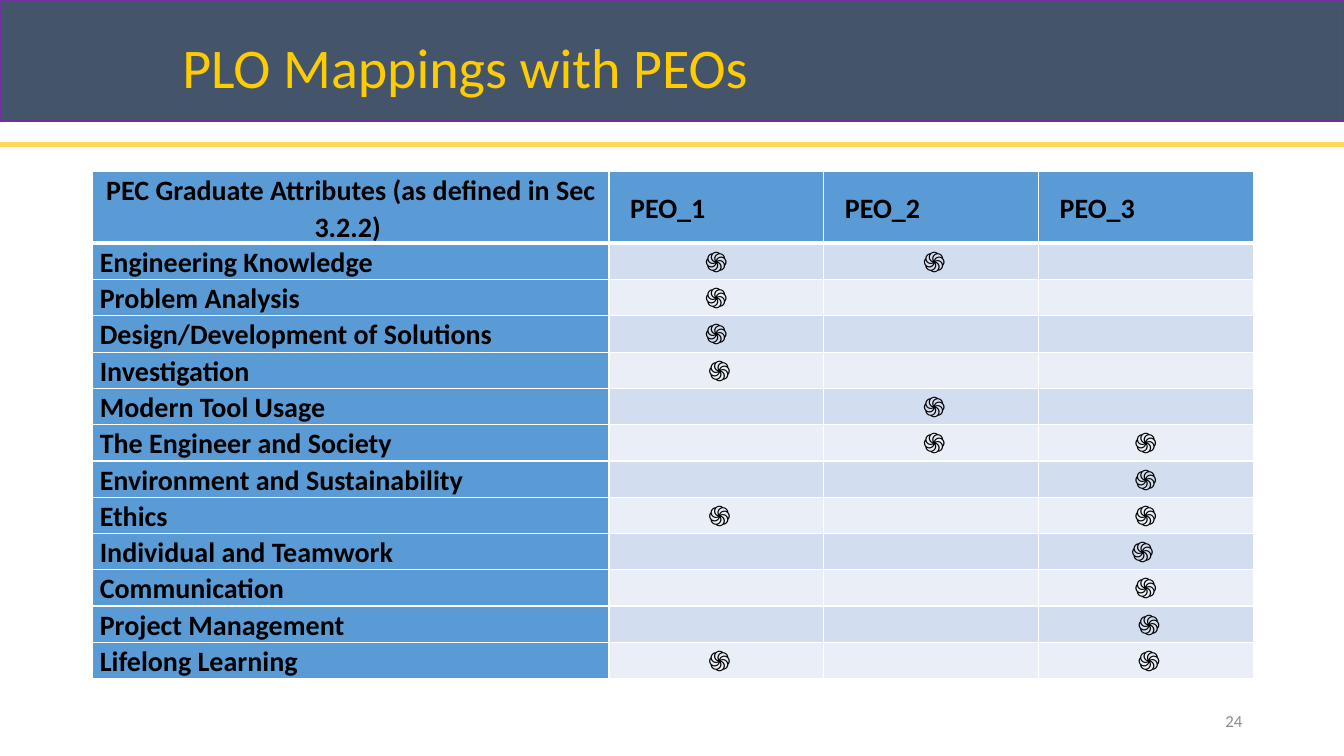
from lxml import etree
from pptx import Presentation
from pptx.dml.color import RGBColor
from pptx.enum.shapes import MSO_CONNECTOR, MSO_SHAPE
from pptx.enum.text import MSO_ANCHOR, PP_ALIGN
from pptx.oxml import parse_xml
from pptx.oxml.ns import nsdecls, qn
from pptx.util import Inches, Pt

MIDDLE = MSO_ANCHOR.MIDDLE
LEFT, CENTER, RIGHT = PP_ALIGN.LEFT, PP_ALIGN.CENTER, PP_ALIGN.RIGHT
COLORS = {"band": "44546A", "edge": "7030A0", "rule": "FFD85B", "title": "FFCC00",
          "number": "8C8C8C", "head": "5B9BD5", "odd": "D2DEEF", "even": "EAEFF7",
          "text": "000000", "grid": "FFFFFF"}
HEADERS = ["PEC Graduate Attributes (as defined in Sec 3.2.2) ", "PEO_1", "PEO_2", "PEO_3"]
ROWS = [
    ("Engineering Knowledge ", "֍", " ֍", ""),
    ("Problem Analysis", "֍", "", ""),
    ("Design/Development of Solutions", "֍", "", ""),
    ("Investigation", " ֍", "", ""),
    ("Modern Tool Usage", "", " ֍", ""),
    ("The Engineer and Society", "", " ֍", "֍"),
    ("Environment and Sustainability", "", "", "֍"),
    ("Ethics", " ֍", "", "֍"),
    ("Individual and Teamwork", "", "", "֍ "),
    ("Communication", "", "", "֍"),
    ("Project Management", "", "", " ֍"),
    ("Lifelong Learning", " ֍", "", " ֍"),
]


def rgb(name):
    return RGBColor.from_string(COLORS[name])


def write(tf, text, size, color, bold=False, **paragraph):
    p = tf.paragraphs[0]
    for key, value in paragraph.items():
        setattr(p, key, value)
    if text:
        r = p.add_run()
        r.text = text
        for key, value in {"name": "Calibri", "size": Pt(size), "bold": bold}.items():
            setattr(r.font, key, value)
        r.font.color.rgb = rgb(color)
    return p


prs = Presentation()
prs.slide_width, prs.slide_height = Inches(13.33), Inches(7.5)
W = prs.slide_width
s = prs.slides.add_slide(prs.slide_layouts[6])

rule = s.shapes.add_connector(MSO_CONNECTOR.STRAIGHT, 0, Inches(1.43), W, Inches(1.43))
rule.line.color.rgb = rgb("rule")
rule.line.width = Pt(3.75)
etree.SubElement(rule._element.spPr, qn("a:effectLst"))

band = s.shapes.add_shape(MSO_SHAPE.RECTANGLE, 0, 0, W, Inches(1.2))
band.shadow.inherit = False
band.fill.solid()
band.fill.fore_color.rgb = rgb("band")
band.line.color.rgb = rgb("edge")
band.line.width = Pt(1)

for box, text, size, color, paragraph in [
    ((1.71, 0.17, 10.73, 1.06), "PLO Mappings with PEOs", 40, "title",
     {"line_spacing": 0.9, "space_before": Pt(10)}),
    ((9.42, 6.95, 3, 0.4), "24", 12, "number", {"alignment": RIGHT}),
]:
    tf = s.shapes.add_textbox(*map(Inches, box)).text_frame
    tf.word_wrap = True
    tf.vertical_anchor = MIDDLE
    write(tf, text, size, color, **paragraph)

table = s.shapes.add_table(len(ROWS) + 1, len(HEADERS), Inches(0.92), Inches(1.7),
                           Inches(11.5), Inches(5.05)).table
for j, column in enumerate(table.columns):
    column.width = Inches(2.13 if j else 5.12)
for i, row in enumerate(table.rows):
    row.height = Inches(0.36 if i else 0.62)

for i, texts in enumerate([HEADERS, *ROWS]):
    for j, text in enumerate(texts):
        cell = table.cell(i, j)
        tcPr = cell._tc.get_or_add_tcPr()
        for side in "LRTB":
            thick = (i == 0 and side == "B") or (i == 1 and side == "T")
            tcPr.append(parse_xml(
                f'<a:ln{side} {nsdecls("a")} w="{Pt(3 if thick else 1)}"><a:solidFill>'
                f'<a:srgbClr val="{COLORS["grid"]}"/></a:solidFill></a:ln{side}>'))
        for key, value in {"margin_left": Inches(0.07), "margin_right": Inches(0.07),
                           "margin_top": 0, "margin_bottom": 0,
                           "vertical_anchor": MIDDLE}.items():
            setattr(cell, key, value)
        heading = i == 0 or j == 0
        cell.fill.solid()
        cell.fill.fore_color.rgb = rgb("head" if heading else "odd" if i % 2 else "even")
        centered = (i == 0) == (j == 0)
        p = write(cell.text_frame, text, 20, "text", heading,
                  alignment=CENTER if centered else LEFT, line_spacing=1.07)
        if i == 0 and j:
            p._p.get_or_add_pPr().set("indent", str(Inches(0.14)))

prs.save("out.pptx")
